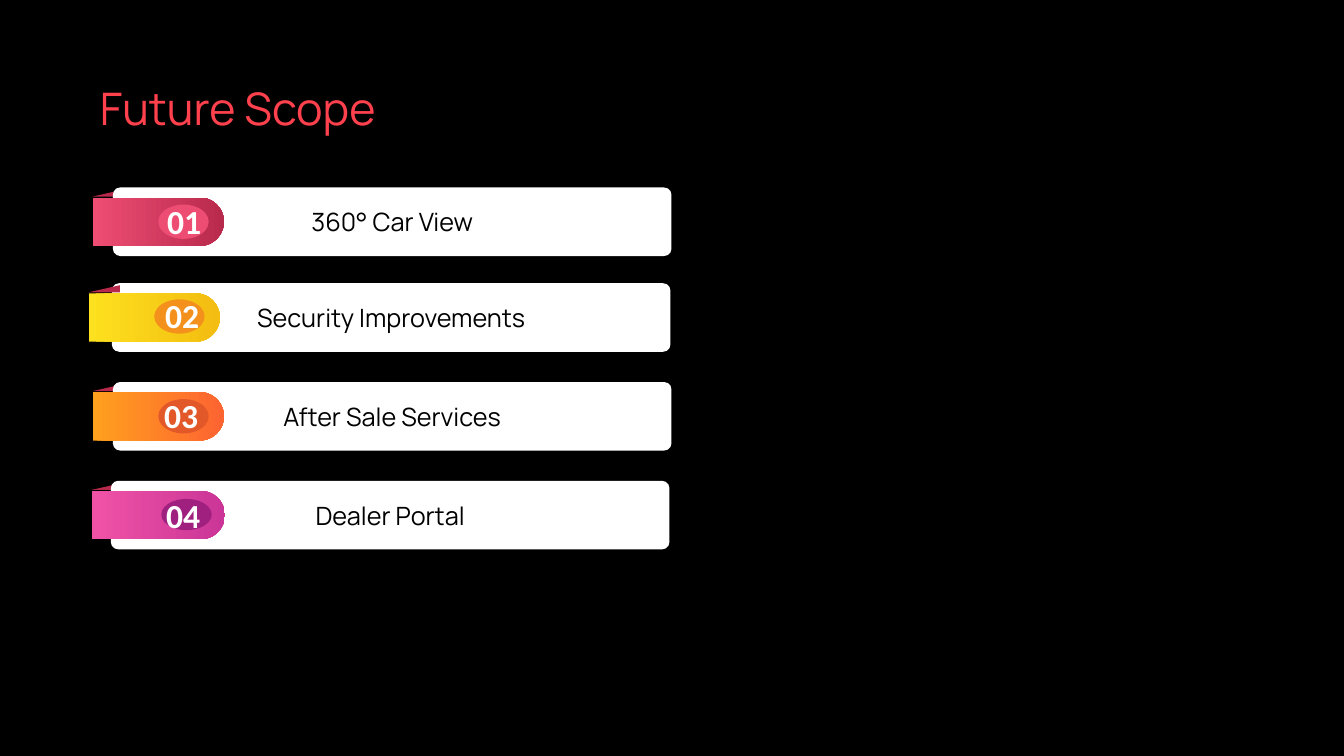
from typing import NamedTuple

from pptx import Presentation
from pptx.dml.color import RGBColor
from pptx.enum.shapes import MSO_SHAPE
from pptx.enum.text import MSO_ANCHOR, MSO_AUTO_SIZE, PP_ALIGN
from pptx.util import Inches, Pt

BLACK = RGBColor(0x00, 0x00, 0x00)
WHITE = RGBColor(0xFF, 0xFF, 0xFF)
TITLE_RED = RGBColor(0xFE, 0x41, 0x4D)
CRIMSON = RGBColor(0xB8, 0x2A, 0x4C)
PINK = RGBColor(0xEE, 0x4D, 0x73)
YELLOW = RGBColor(0xFD, 0xE0, 0x1E)
GOLD = RGBColor(0xF3, 0xBD, 0x11)
AMBER = RGBColor(0xF4, 0x91, 0x1C)
ORANGE = RGBColor(0xFF, 0xA0, 0x1E)
DEEP_ORANGE = RGBColor(0xFD, 0x64, 0x31)
RUST = RGBColor(0xE2, 0x58, 0x29)
ORCHID = RGBColor(0xF0, 0x53, 0xA6)
MAGENTA = RGBColor(0xCA, 0x35, 0x97)
PURPLE = RGBColor(0x9F, 0x20, 0x7F)

TITLE_FONT = {"name": "Manrope", "size": Pt(32), "bold": False}
CARD_FONT = {"name": "Manrope", "size": Pt(18)}
NUMBER_FONT = {"name": "Calibri", "size": Pt(24), "bold": True}

RIBBON_HEIGHT = 0.48


class Item(NamedTuple):
    label: str
    card: tuple
    ribbon_left: float
    ribbon_width: float
    badge: tuple
    number: tuple
    light: RGBColor
    dark: RGBColor
    badge_color: RGBColor
    fold_in_front: bool = False


ITEMS = [
    Item("360° Car View", (1.12, 1.86), 0.92, 1.3, (1.57, 2.03, 0.5, 0.34),
         (1.56, 1.94), PINK, CRIMSON, PINK),
    Item("Security Improvements", (1.11, 2.81), 0.88, 1.3, (1.53, 2.97, 0.5, 0.34),
         (1.54, 2.88), YELLOW, GOLD, AMBER, True),
    Item("After Sale Services", (1.12, 3.79), 0.92, 1.3, (1.57, 3.96, 0.5, 0.34),
         (1.53, 3.87), ORANGE, DEEP_ORANGE, RUST),
    Item("Dealer Portal", (1.1, 4.77), 0.91, 1.32, (1.6, 4.95, 0.5, 0.31),
         (1.55, 4.86), ORCHID, MAGENTA, PURPLE),
]


def write_text(shape, text, font_format, color, alignment, anchor):
    frame = shape.text_frame
    frame.word_wrap = True
    frame.auto_size = MSO_AUTO_SIZE.NONE
    frame.vertical_anchor = anchor
    paragraph = frame.paragraphs[0]
    paragraph.text = text
    paragraph.alignment = alignment
    for name, value in font_format.items():
        setattr(paragraph.font, name, value)
    paragraph.font.color.rgb = color


def add_plain_shape(slide, preset, box, color):
    shape = slide.shapes.add_shape(preset, *map(Inches, box))
    shape.shadow.inherit = False
    shape.fill.solid()
    shape.fill.fore_color.rgb = color
    shape.line.fill.background()
    return shape


def add_title(slide):
    title = slide.shapes.title
    title.left, title.top = Inches(0.89), Inches(0.75)
    title.width, title.height = Inches(3.16), Inches(0.64)
    write_text(title, "Future Scope", TITLE_FONT, TITLE_RED, PP_ALIGN.LEFT, MSO_ANCHOR.TOP)


def add_fold(slide, item):
    box = (item.ribbon_left, item.card[1] + 0.02, 0.31, 0.07)
    fold = add_plain_shape(slide, MSO_SHAPE.RIGHT_TRIANGLE, box, CRIMSON)
    fold._element.spPr.xfrm.set("flipH", "1")


def add_card(slide, item):
    card = add_plain_shape(slide, MSO_SHAPE.ROUNDED_RECTANGLE, (*item.card, 5.54, 0.68), WHITE)
    card.adjustments[0] = 0.107
    write_text(card, item.label, CARD_FONT, BLACK, PP_ALIGN.CENTER, MSO_ANCHOR.MIDDLE)


def add_ribbon(slide, item):
    left = item.ribbon_left + (item.ribbon_width - RIBBON_HEIGHT) / 2
    top = item.card[1] + 0.34 - item.ribbon_width / 2
    box = (left, top, RIBBON_HEIGHT, item.ribbon_width)
    ribbon = add_plain_shape(slide, MSO_SHAPE.ROUND_2_SAME_RECTANGLE, box, item.light)
    ribbon.rotation = 90
    ribbon.adjustments[0] = 0.5
    ribbon.adjustments[1] = 0
    ribbon.fill.gradient()
    ribbon.fill.gradient_angle = 90
    for stop, position, color in zip(ribbon.fill.gradient_stops, (0, 1), (item.light, item.dark)):
        stop.position = position
        stop.color.rgb = color


def add_number(slide, item, number):
    add_plain_shape(slide, MSO_SHAPE.OVAL, item.badge, item.badge_color)
    box = slide.shapes.add_textbox(*map(Inches, (*item.number, 0.6, 0.5)))
    write_text(box, f"{number:02d}", NUMBER_FONT, WHITE, PP_ALIGN.LEFT, MSO_ANCHOR.TOP)


def add_item(slide, item, number):
    layers = [add_fold, add_card]
    if item.fold_in_front:
        layers.reverse()
    for add_layer in layers:
        add_layer(slide, item)
    add_ribbon(slide, item)
    add_number(slide, item, number)


def main():
    presentation = Presentation()
    presentation.slide_width = Inches(13.33)
    presentation.slide_height = Inches(7.5)
    slide = presentation.slides.add_slide(presentation.slide_layouts[5])
    slide.background.fill.solid()
    slide.background.fill.fore_color.rgb = BLACK
    add_title(slide)
    for number, item in enumerate(ITEMS, start=1):
        add_item(slide, item, number)
    presentation.save("out.pptx")


if __name__ == "__main__":
    main()
